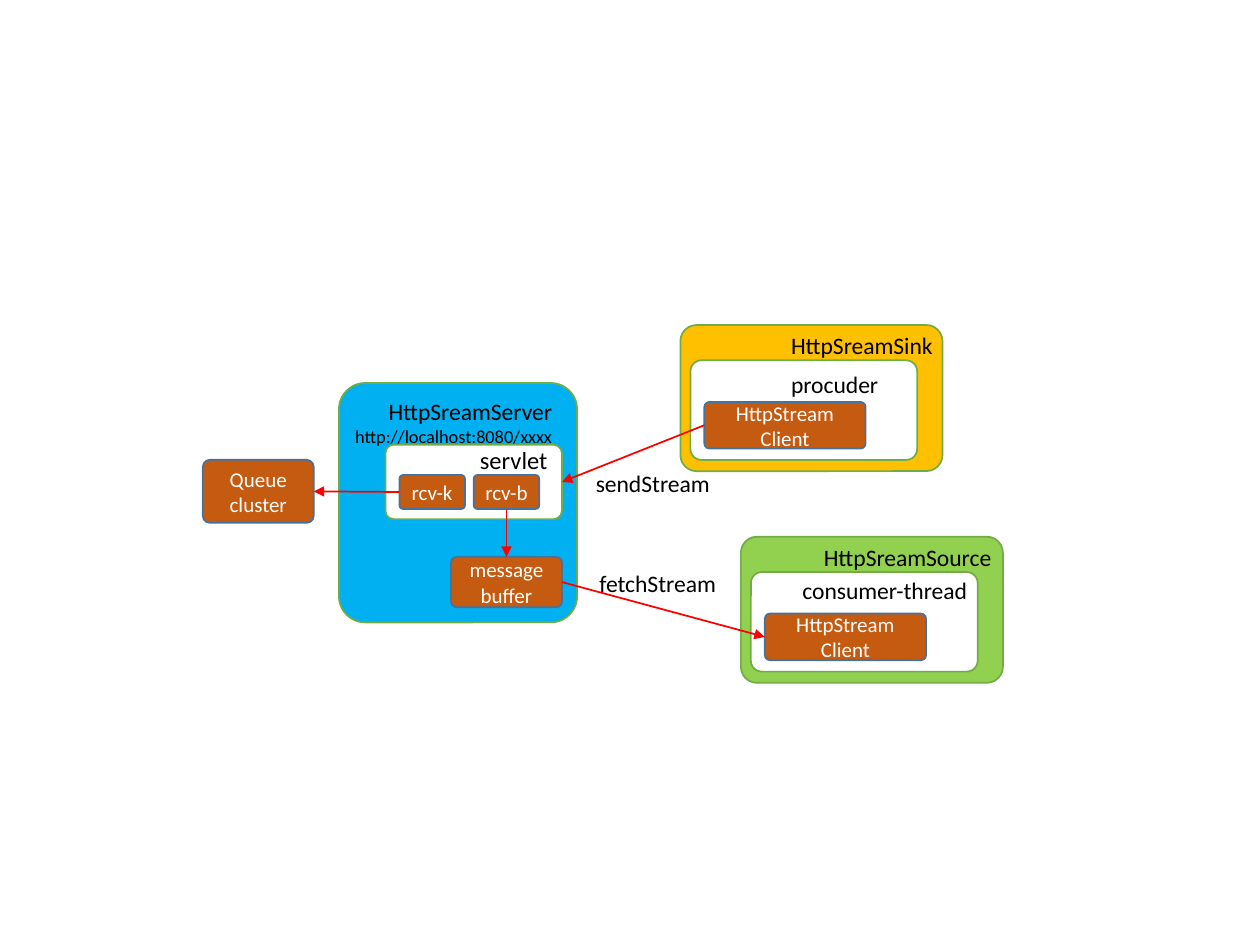
from typing import NamedTuple

from pptx import Presentation
from pptx import util as u
from pptx.dml.color import RGBColor
from pptx.enum import shapes, text
from pptx.oxml.ns import qn
from lxml import etree

FONT = "Calibri"
COLORS = {
    "sink": "FFC000",
    "source": "92D050",
    "server": "00B0F0",
    "inner": "FFFFFF",
    "part": "C55A11",
    "frame_line": "70AD47",
    "part_line": "43739E",
    "arrow": "FF0000",
    "dark": "000000",
    "light": "FFFFFF",
}
TOP, LEFT, BOTTOM, RIGHT = range(4)  # connection sites of a rounded rectangle


class Area(NamedTuple):
    left: float
    top: float
    width: float
    height: float

    def inches(self) -> list:
        return [u.Inches(length) for length in self]


class Label(NamedTuple):
    area: Area
    lines: list[str]
    sizes: list[float] = [13.5]
    align: text.PP_ALIGN = text.PP_ALIGN.LEFT
    wrap: bool = False


class Endpoint(NamedTuple):
    """A coloured panel that holds a white thread box and a client."""
    left: float
    top: float
    fill: str
    title: Label
    thread: Label


class Arrow(NamedTuple):
    start: object
    start_site: int
    end: object
    end_site: int


def color(name: str) -> RGBColor:
    return RGBColor.from_string(COLORS[name])


def write_lines(frame, lines: list[str], sizes: list[float], align, ink: str) -> None:
    for index, line in enumerate(lines):
        para = frame.paragraphs[0] if index == 0 else frame.add_paragraph()
        para.text = line
        para.alignment = align
        para.font.name = FONT
        para.font.size = u.Pt(sizes[index])
        para.font.color.rgb = color(ink)


def add_box(page, area: Area, fill: str, line: str = "frame_line"):
    box = page.shapes.add_shape(shapes.MSO_SHAPE.ROUNDED_RECTANGLE, *area.inches())
    box.adjustments[0] = 0.11
    box.shadow.inherit = False
    box.fill.solid()
    box.fill.fore_color.rgb = color(fill)
    box.line.color.rgb = color(line)
    box.line.width = u.Pt(1)
    return box


def add_part(page, area: Area, *lines: str):
    """Draw a brown component with centred white text."""
    part = add_box(page, area, "part", "part_line")
    frame = part.text_frame
    frame.word_wrap = True
    frame.vertical_anchor = text.MSO_ANCHOR.MIDDLE
    frame.margin_left = frame.margin_right = u.Inches(0.07)
    frame.margin_top = frame.margin_bottom = u.Inches(0.04)
    write_lines(frame, list(lines), [12] * len(lines), text.PP_ALIGN.CENTER, "light")
    return part


def add_label(page, label: Label) -> None:
    frame = page.shapes.add_textbox(*label.area.inches()).text_frame
    frame.word_wrap = label.wrap
    frame.auto_size = text.MSO_AUTO_SIZE.SHAPE_TO_FIT_TEXT
    write_lines(frame, label.lines, label.sizes, label.align, "dark")


def add_endpoint(page, endpoint: Endpoint):
    """Draw the panel and return its client."""
    left, top = endpoint.left, endpoint.top
    add_box(page, Area(left, top, 2.08, 1.16), endpoint.fill)
    add_label(page, endpoint.title)
    add_box(page, Area(left + 0.08, top + 0.28, 1.8, 0.79), "inner")
    add_label(page, endpoint.thread)
    return add_part(page, Area(left + 0.19, top + 0.61, 1.28, 0.37), "HttpStream", "Client")


def add_arrow(page, arrow: Arrow) -> None:
    line = page.shapes.add_connector(shapes.MSO_CONNECTOR.STRAIGHT, 0, 0, 0, 0)
    line.begin_connect(arrow.start, arrow.start_site)
    line.end_connect(arrow.end, arrow.end_site)
    line.line.color.rgb = color("arrow")
    line.line.width = u.Pt(1)
    etree.SubElement(line.line._get_or_add_ln(), qn("a:tailEnd"), type="triangle")
    etree.SubElement(line._element.spPr, qn("a:effectLst"))


def main() -> None:
    deck = Presentation()
    deck.slide_width, deck.slide_height = u.Inches(10), u.Inches(7.5)
    page = deck.slides.add_slide(deck.slide_layouts[6])

    sink_client = add_endpoint(page, Endpoint(
        5.4, 2.58, "sink",
        Label(Area(6.18, 2.58, 1.35, 0.33), ["HttpSreamSink"]),
        Label(Area(6.18, 2.89, 0.91, 0.33), ["procuder"]),
    ))
    source_client = add_endpoint(page, Endpoint(
        5.88, 4.26, "source",
        Label(Area(6.44, 4.26, 1.72, 0.33), ["HttpSreamSource"], wrap=True),
        Label(Area(6.27, 4.52, 1.53, 0.33), ["consumer-thread"]),
    ))

    add_box(page, Area(2.69, 3.04, 1.89, 1.9), "server")
    add_label(page, Label(
        Area(2.69, 3.1, 1.79, 0.5),
        ["HttpSreamServer", "http://localhost:8080/xxxx"],
        [13.5, 10.5], text.PP_ALIGN.RIGHT,
    ))
    message_buffer = add_part(page, Area(3.58, 4.42, 0.88, 0.4), "message buffer")
    add_label(page, Label(Area(4.66, 4.47, 1.14, 0.33), ["fetchStream"]))
    add_label(page, Label(Area(4.63, 3.67, 1.12, 0.33), ["sendStream"]))
    cluster = add_part(page, Area(1.61, 3.65, 0.88, 0.5), "Queue", "cluster")
    servlet = add_box(page, Area(3.06, 3.53, 1.4, 0.59), "inner")
    receiver_k, receiver_b = (
        add_part(page, Area(left, 3.77, 0.52, 0.27), name)
        for left, name in ((3.17, "rcv-k"), (3.76, "rcv-b"))
    )
    add_label(page, Label(Area(3.71, 3.48, 0.75, 0.34), ["servlet"], [14]))

    for arrow in (
        Arrow(message_buffer, RIGHT, source_client, LEFT),
        Arrow(sink_client, LEFT, servlet, RIGHT),
        Arrow(receiver_k, LEFT, cluster, RIGHT),
        Arrow(receiver_b, BOTTOM, message_buffer, TOP),
    ):
        add_arrow(page, arrow)

    deck.save("out.pptx")


if __name__ == "__main__":
    main()
